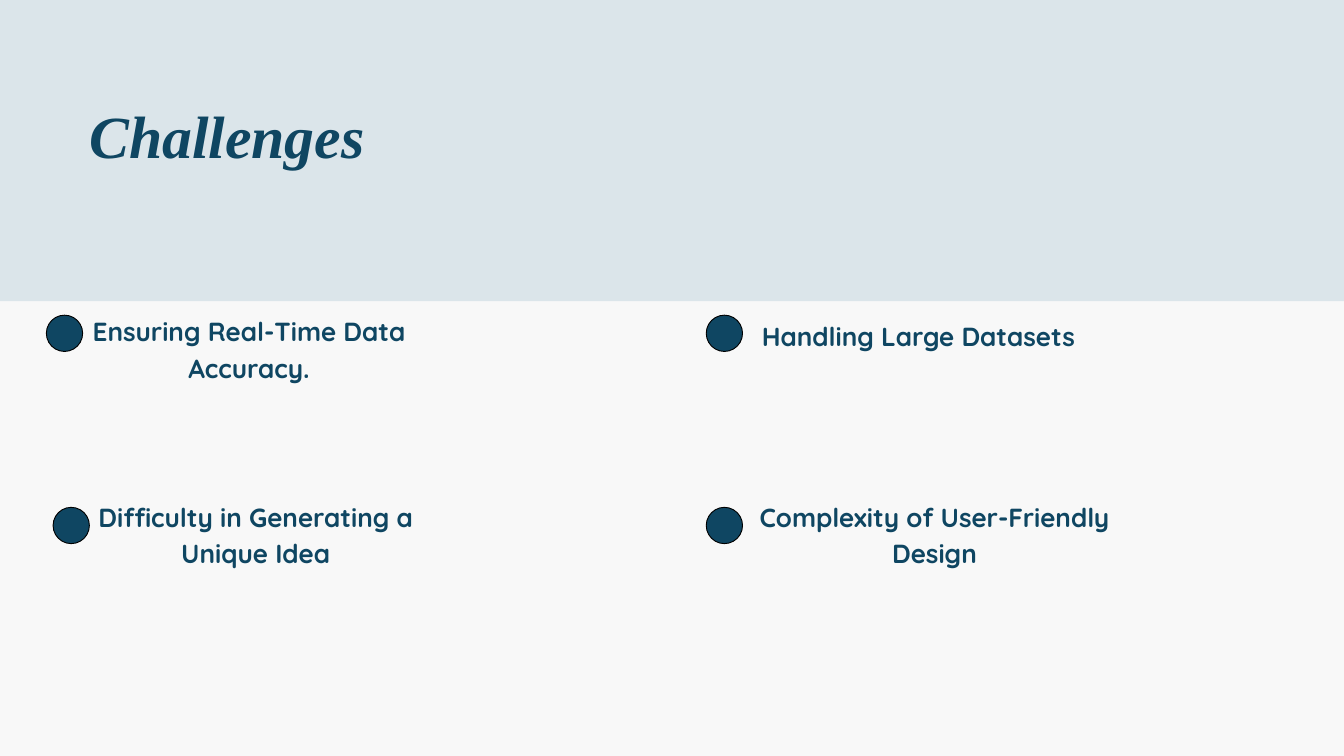
import pptx
import pptx.dml.color
import pptx.enum.shapes
import pptx.enum.text
import pptx.util
from dataclasses import dataclass
from pptx.util import Inches


@dataclass(frozen=True)
class Theme:
    background: str = "F8F8F8"
    band: str = "DBE5EA"
    navy: str = "0F4662"
    outline: str = "000000"
    title_font: str = "Times New Roman"
    body_font: str = "Quicksand"
    title_size: float = 64
    body_size: float = 28
    line_ratio: float = 1.4


THEME = Theme()
SLIDE_WIDTH, SLIDE_HEIGHT = 20, 11.25
DOT_SIZE = 0.54
CHALLENGE_WIDTH = 5.49

# Wording, dot position (left, top), text position (left, top), text height
CHALLENGES = [
    ("Ensuring Real-Time Data Accuracy.", (0.69, 4.69), (0.96, 4.62), 1.08),
    ("Handling Large Datasets", (10.51, 4.69), (10.92, 4.69), 0.54),
    ("Difficulty in Generating a Unique Idea", (0.79, 7.55), (1.06, 7.38), 1.08),
    ("Complexity of User-Friendly Design", (10.51, 7.55), (11.16, 7.38), 1.08),
]


def rgb(code):
    return pptx.dml.color.RGBColor.from_string(code)


def add_filled_shape(slide, preset, left, top, width, height, fill, outline=None):
    shape = slide.shapes.add_shape(
        preset, Inches(left), Inches(top), Inches(width), Inches(height))
    shape.shadow.inherit = False
    shape.fill.solid()
    shape.fill.fore_color.rgb = rgb(fill)
    if outline:
        shape.line.color.rgb = rgb(outline)
        shape.line.width = pptx.util.Pt(1)
    else:
        shape.line.fill.background()


def add_text(slide, wording, left, top, width, height, font_name, size, align,
             italic=None):
    box = slide.shapes.add_textbox(
        Inches(left), Inches(top), Inches(width), Inches(height))
    frame = box.text_frame
    frame.margin_left = frame.margin_right = 0
    frame.margin_top = frame.margin_bottom = 0
    frame.word_wrap = True
    frame.text = wording
    paragraph = frame.paragraphs[0]
    paragraph.alignment = align
    paragraph.line_spacing = pptx.util.Pt(size * THEME.line_ratio)
    font = paragraph.runs[0].font
    font.name = font_name
    font.size = pptx.util.Pt(size)
    font.bold = True
    font.italic = italic
    font.color.rgb = rgb(THEME.navy)


def add_challenge(slide, wording, dot_at, text_at, text_height):
    add_filled_shape(slide, pptx.enum.shapes.MSO_SHAPE.OVAL, *dot_at,
                     DOT_SIZE, DOT_SIZE, THEME.navy, THEME.outline)
    add_text(slide, wording, *text_at, CHALLENGE_WIDTH, text_height,
             THEME.body_font, THEME.body_size, pptx.enum.text.PP_ALIGN.CENTER)


def main():
    deck = pptx.Presentation()
    deck.slide_width = Inches(SLIDE_WIDTH)
    deck.slide_height = Inches(SLIDE_HEIGHT)
    slide = deck.slides.add_slide(deck.slide_layouts[6])
    slide.background.fill.solid()
    slide.background.fill.fore_color.rgb = rgb(THEME.background)

    # Title band
    add_filled_shape(slide, pptx.enum.shapes.MSO_SHAPE.RECTANGLE,
                     0, 0, SLIDE_WIDTH, 4.48, THEME.band)
    add_text(slide, "Challenges", 1.33, 1.29, 10.84, 1.19, THEME.title_font,
             THEME.title_size, pptx.enum.text.PP_ALIGN.LEFT, italic=True)

    # Four challenges, each with its dot
    for challenge in CHALLENGES:
        add_challenge(slide, *challenge)

    deck.save("out.pptx")


if __name__ == "__main__":
    main()
